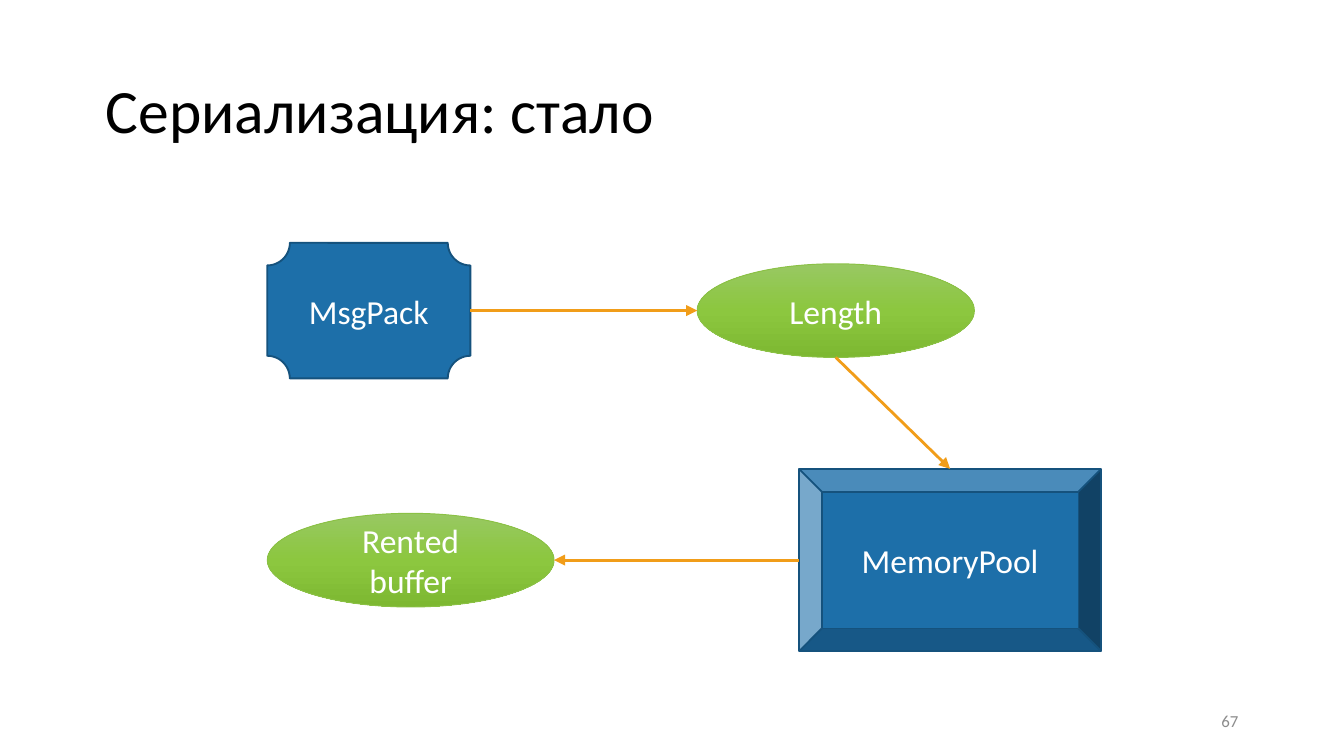
import copy
import dataclasses

import pptx
import pptx.dml.color
import pptx.enum.shapes
import pptx.enum.text
import pptx.oxml
import pptx.oxml.ns
import pptx.util

Pt = pptx.util.Pt
SHAPE = pptx.enum.shapes.MSO_SHAPE
ALIGN = pptx.enum.text.PP_ALIGN
qn = pptx.oxml.ns.qn


@dataclasses.dataclass(frozen=True)
class Theme:
    font: str = "Calibri"
    title_size: float = 33
    body_size: float = 18
    number_size: float = 9
    black: str = "000000"
    white: str = "FFFFFF"
    gray: str = "8C8C8C"
    blue: str = "1D6FA9"
    blue_line: str = "15527D"
    green: tuple = ("98C862", "8CC73F", "7DB831")
    green_line: str = "8BC145"
    orange: str = "F19D19"


def rgb(value):
    return pptx.dml.color.RGBColor.from_string(value)


def write(s, text, font, size, color, align=ALIGN.LEFT, spacing=None):
    tf = s.text_frame
    tf.word_wrap = True
    tf.auto_size = pptx.enum.text.MSO_AUTO_SIZE.NONE
    tf.vertical_anchor = pptx.enum.text.MSO_ANCHOR.MIDDLE
    p = tf.paragraphs[0]
    p.alignment = align
    p.line_spacing = spacing
    r = p.add_run()
    r.text = text
    r.font.name = font
    r.font.size = Pt(size)
    r.font.color.rgb = rgb(color)


class Deck:
    """Holds the theme and the current slide and adds its elements."""

    def __init__(self, prs, theme):
        self.theme = theme
        self.slide = prs.slides.add_slide(prs.slide_layouts[5])

    def title(self, text, left, top, width, height):
        s = self.slide.shapes.title
        s.left, s.top, s.width, s.height = map(Pt, (left, top, width, height))
        write(s, text, self.theme.font, self.theme.title_size, self.theme.black, spacing=0.9)

    def number(self, text, *box):
        s = self.slide.shapes.add_textbox(*map(Pt, box))
        write(s, text, self.theme.font, self.theme.number_size, self.theme.gray, align=ALIGN.RIGHT)

    def node(self, kind, text, box, line, weight):
        s = self.slide.shapes.add_shape(kind, *map(Pt, box))
        s.shadow.inherit = False
        s.line.color.rgb = rgb(line)
        s.line.width = Pt(weight)
        write(s, text, self.theme.font, self.theme.body_size, self.theme.white, align=ALIGN.CENTER)
        return s

    def block(self, kind, text, *box):
        s = self.node(kind, text, box, self.theme.blue_line, 1)
        s.fill.solid()
        s.fill.fore_color.rgb = rgb(self.theme.blue)
        return s

    def oval(self, text, *box):
        s = self.node(SHAPE.OVAL, text, box, self.theme.green_line, 0.5)
        s.fill.gradient()
        s.fill.gradient_angle = 270
        first = next(s._element.spPr.iter(qn("a:gs")))
        first.addnext(copy.deepcopy(first))
        colors = self.theme.green
        for i, (stop, color) in enumerate(zip(s.fill.gradient_stops, colors)):
            stop.position = i / (len(colors) - 1)
            stop.color.rgb = rgb(color)
        return s

    def arrow(self, start, end):
        s = self.slide.shapes.add_connector(
            pptx.enum.shapes.MSO_CONNECTOR.STRAIGHT, *start, *end)
        s.line.color.rgb = rgb(self.theme.orange)
        s.line.width = Pt(1.5)
        pptx.oxml.ns  # namespaces for the arrowhead
        ln = s.line._get_or_add_ln()
        ln.append(ln.makeelement(qn("a:tailEnd"), {"type": "triangle"}))
        sp = s._element.spPr
        sp.append(sp.makeelement(qn("a:effectLst"), {}))


def edge(s, x, y):
    return int(s.left + s.width * x), int(s.top + s.height * y)


def main():
    prs = pptx.Presentation()
    prs.slide_width, prs.slide_height = Pt(720), Pt(405)
    deck = Deck(prs, Theme())
    deck.title("Сериализация: стало", 49.5, 21.6, 621, 78.3)
    deck.number("67", 508.5, 375.4, 162, 21.6)

    pack = deck.block(SHAPE.PLAQUE, "MsgPack", 143.2, 130.1, 108.8, 72.6)
    length = deck.oval("Length", 373.5, 141.3, 148.5, 50.2)
    pool = deck.block(SHAPE.BEVEL, "MemoryPool", 428, 251.2, 162, 97.8)
    rented = deck.oval("Rented buffer", 143.2, 275, 153.6, 50.2)

    deck.arrow(edge(pack, 1, 0.5), edge(length, 0, 0.5))
    deck.arrow(edge(length, 0.5, 1), edge(pool, 0.5, 0))
    deck.arrow(edge(pool, 0, 0.5), edge(rented, 1, 0.5))
    prs.save("out.pptx")


if __name__ == "__main__":
    main()
